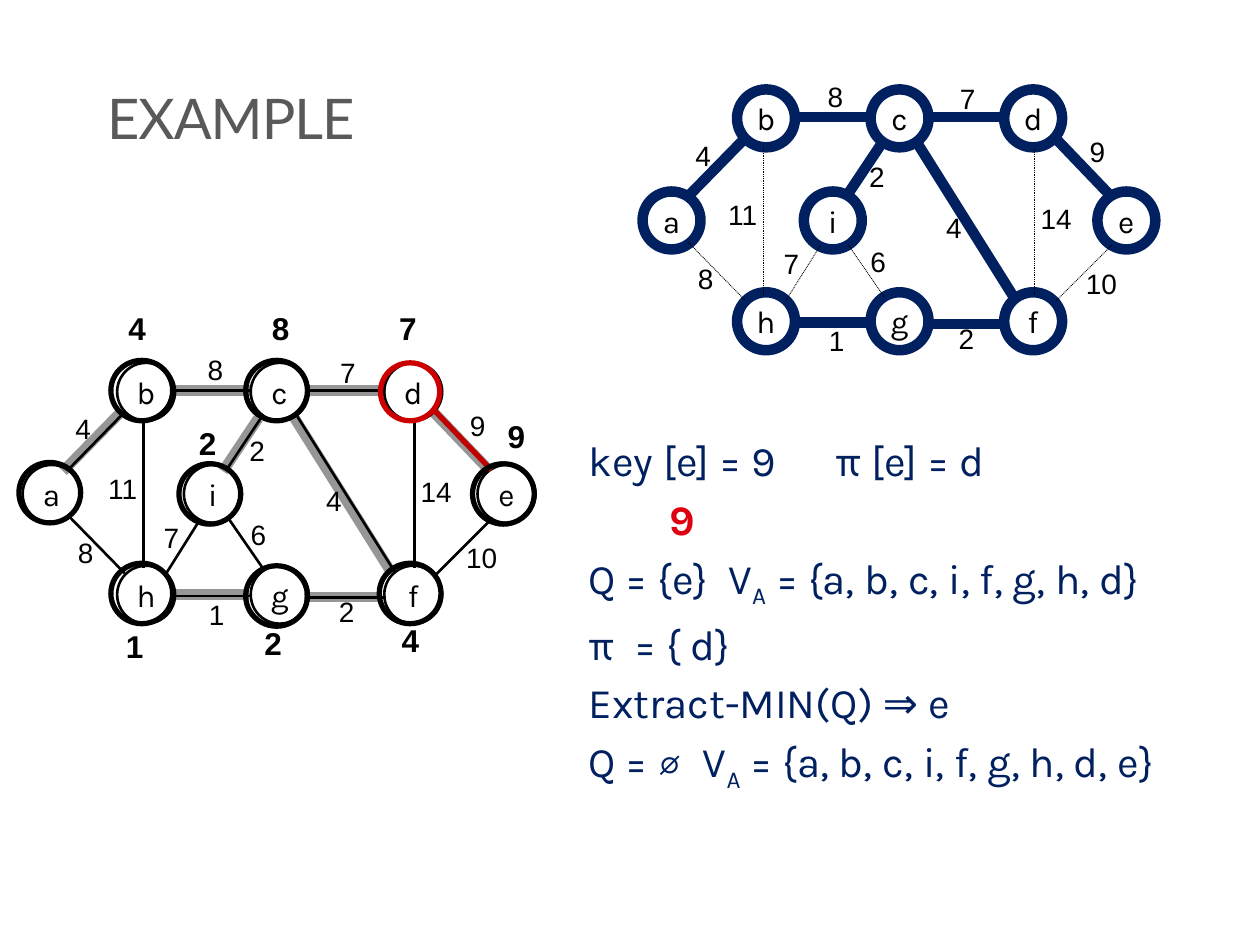
import dataclasses

import pptx
import pptx.dml.color
import pptx.enum.dml
import pptx.enum.shapes
import pptx.enum.text
import pptx.oxml
import pptx.util

Inches = pptx.util.Inches
Pt = pptx.util.Pt
Align = pptx.enum.text.PP_ALIGN
Anchor = pptx.enum.text.MSO_ANCHOR
Dash = pptx.enum.dml.MSO_LINE


@dataclasses.dataclass
class Theme:
    ink: str = "000000"
    navy: str = "002060"
    gray: str = "969696"
    title: str = "595959"
    ring: str = "CC0000"
    edge: str = "C00000"
    alert: str = "DD0111"
    white: str = "FFFFFF"
    head_font: str = "Lato"
    body_font: str = "Karla"
    label_font: str = "Arial"
    head_size: int = 32
    body_size: int = 24
    node_size: int = 18
    cost_size: int = 16


SIZE = 0.46  # node diameter
SHIFT = (4.92, -2.17)  # from the working graph to the finished tree

# node: left, top
NODES = {
    "a": (0.18, 3.69), "b": (0.93, 2.88), "c": (1.99, 2.88),
    "d": (3.05, 2.88), "e": (3.79, 3.69), "h": (0.93, 4.49),
    "g": (1.99, 4.49), "f": (3.05, 4.49), "i": (1.46, 3.69),
}
# node: left, top of its thick ring
RINGS = {
    "b": (0.88, 2.86), "a": (0.15, 3.67), "c": (1.95, 2.86),
    "i": (1.42, 3.68), "f": (3.01, 4.47), "g": (1.95, 4.49),
    "h": (0.88, 4.47), "e": (3.75, 3.68),
}
# edge: start, end, cost, place of the cost, shift of the halo (tree edges only)
EDGES = {
    "bh": ((1.14, 3.34), (1.14, 4.51), "11", (0.76, 3.69), None),
    "df": ((3.29, 3.35), (3.29, 4.51), "14", (3.24, 3.72), None),
    "bc": ((1.38, 3.1), (1.99, 3.1), "8", (1.55, 2.75), (0.01, 0)),
    "cd": ((2.44, 3.1), (3.05, 3.1), "7", (2.6, 2.77), (0.01, 0)),
    "hg": ((1.38, 4.73), (1.99, 4.73), "1", (1.56, 4.69), (-0.01, -0.01)),
    "gf": ((2.46, 4.74), (3.06, 4.74), "2", (2.59, 4.67), (-0.05, 0)),
    "ab": ((0.54, 3.73), (0.99, 3.27), "4", (0.5, 3.22), (-0.04, 0.01)),
    "fe": ((3.46, 4.56), (3.91, 4.11), "10", (3.6, 4.24), None),
    "de": ((3.45, 3.26), (3.9, 3.73), "9", (3.63, 3.19), (-0.01, 0.01)),
    "ah": ((0.54, 4.09), (0.99, 4.55), "8", (0.52, 4.2), None),
    "cf": ((2.35, 3.29), (3.14, 4.55), "4", (2.49, 3.79), (-0.03, 0)),
    "ig": ((1.81, 4.11), (2.1, 4.53), "6", (1.89, 4.06), None),
    "hi": ((1.32, 4.55), (1.59, 4.12), "7", (1.2, 4.08), None),
    "ic": ((1.81, 3.71), (2.09, 3.29), "2", (1.88, 3.39), (-0.04, 0.03)),
}
# key value, its place, whether it has a white ground
KEYS = [
    ("4", (0.92, 2.4), False), ("7", (3.07, 2.4), False),
    ("1", (0.9, 4.93), False), ("2", (2, 4.9), False),
    ("4", (3.09, 4.88), False), ("8", (2.06, 2.4), True),
    ("2", (1.48, 3.32), False), ("9", (3.93, 3.26), True),
]
# every second part of a line is a subscript
STEPS = [
    ["key [e] = 9\t π [e] = d"],
    ["9"],
    ["Q = {e}  V", "A", " = {a, b, c, i, f, g, h, d}"],
    ["π  = { d}"],
    ["Extract-MIN(Q) ⇒ e"],
    ["Q = ∅  V", "A", " = {a, b, c, i, f, g, h, d, e}"],
]
KEY_STEP = 1


def rgb(color):
    return pptx.dml.color.RGBColor.from_string(color)


def move(spot, by):
    return spot[0] + by[0], spot[1] + by[1]


class Painter:
    def __init__(self, slide, theme):
        self.slide, self.theme = slide, theme

    def style(self, para, font, size, color, bold=False):
        for run in para.runs:
            run.font.name, run.font.size = font, Pt(size)
            run.font.color.rgb, run.font.bold = rgb(color), bold

    def place(self, shape, left, top, width, height):
        shape.left, shape.top = Inches(left), Inches(top)
        shape.width, shape.height = Inches(width), Inches(height)

    def title(self, text):
        shape, theme = self.slide.shapes.title, self.theme
        self.place(shape, 0.75, 0.33, 8.33, 0.92)
        frame = shape.text_frame
        frame.text = text
        frame.vertical_anchor = Anchor.BOTTOM
        para = frame.paragraphs[0]
        para.alignment = Align.LEFT
        self.style(para, theme.head_font, theme.head_size, theme.title)
        para.runs[0]._r.get_or_add_rPr().set("spc", "-60")

    def steps(self, lines):
        shape, theme = self.slide.placeholders[1], self.theme
        self.place(shape, 4.57, 3.4, 5.22, 2.68)
        frame = shape.text_frame
        frame.auto_size = pptx.enum.text.MSO_AUTO_SIZE.NONE
        for row, parts in enumerate(lines):
            para = frame.add_paragraph() if row else frame.paragraphs[0]
            key = row == KEY_STEP
            props = para._p.get_or_add_pPr()
            props.set("marL", str(Inches(0.64 if key else 0.38)))
            props.set("indent", str(Inches(0 if key else -0.38)))
            pptx.oxml.xmlchemy.OxmlElement("a:buNone")
            props.append(pptx.oxml.xmlchemy.OxmlElement("a:buNone"))
            para.space_before = Pt(4.8 if row else 0)
            for part in parts:
                para.add_run().text = part
            color = theme.alert if key else theme.navy
            self.style(para, theme.body_font, theme.body_size, color, key)
            for run in para.runs[1::2]:
                run._r.get_or_add_rPr().set("baseline", "-25000")

    def circle(self, spot, width, height, color, weight, text=""):
        shape = self.slide.shapes.add_shape(
            pptx.enum.shapes.MSO_SHAPE.OVAL, *map(Inches, (*spot, width, height)))
        shape.shadow.inherit = False
        shape.fill.background()
        shape.line.color.rgb, shape.line.width = rgb(color), Pt(weight)
        if text:
            frame, theme = shape.text_frame, self.theme
            frame.text, frame.word_wrap = text, False
            frame.vertical_anchor = Anchor.MIDDLE
            frame.paragraphs[0].alignment = Align.CENTER
            self.style(frame.paragraphs[0], theme.body_font, theme.node_size, theme.ink)

    def line(self, start, end, color, weight, dash=None):
        shape = self.slide.shapes.add_connector(
            pptx.enum.shapes.MSO_CONNECTOR.STRAIGHT, *map(Inches, (*start, *end)))
        shape.line.color.rgb, shape.line.width = rgb(color), Pt(weight)
        if dash:
            shape.line.dash_style = dash
        shape._element.spPr.append(pptx.oxml.xmlchemy.OxmlElement("a:effectLst"))

    def label(self, text, spot, width, height, size, bold=False, ground=False):
        box = self.slide.shapes.add_textbox(*map(Inches, (*spot, width, height)))
        if ground:
            box.fill.solid()
            box.fill.fore_color.rgb = rgb(self.theme.white)
        frame = box.text_frame
        frame.text, frame.word_wrap = text, False
        self.style(frame.paragraphs[0], self.theme.label_font, size, self.theme.ink, bold)

    def graph(self, shift, done):
        """Draw nodes, edges and costs; done marks the finished tree."""
        theme = self.theme
        for name, spot in NODES.items():
            self.circle(move(spot, shift), SIZE, SIZE,
                        theme.navy if done else theme.ink, 6 if done else 1.5, name)
        for name, (start, end, cost, spot, halo) in EDGES.items():
            if done:
                look = (theme.navy, 6) if halo else (theme.ink, 0.5, Dash.ROUND_DOT)
            else:
                look = (theme.edge, 3) if name == "de" else (theme.ink, 1.5)
            self.line(move(start, shift), move(end, shift), *look)
        for start, end, cost, spot, halo in EDGES.values():
            width = 0.32 if len(cost) == 1 else 0.45
            self.label(cost, move(spot, shift), width, 0.37, theme.cost_size)

    def halos(self):
        for start, end, cost, spot, halo in EDGES.values():
            if halo:
                self.line(move(start, halo), move(end, halo), self.theme.gray, 6)

    def rings(self):
        for spot in RINGS.values():
            self.circle(spot, 0.49, 0.48, self.theme.ink, 3)
        self.circle((3.02, 2.88), 0.47, 0.46, self.theme.ring, 3)

    def keys(self):
        for text, spot, ground in KEYS:
            self.label(text, spot, 0.34, 0.4, self.theme.node_size, True, ground)


def main():
    deck = pptx.Presentation()
    deck.slide_width, deck.slide_height = Inches(10), Inches(7.5)
    slide = deck.slides.add_slide(deck.slide_layouts[1])
    paint = Painter(slide, Theme())
    paint.title("EXAMPLE")
    paint.steps(STEPS)
    paint.halos()
    paint.graph((0, 0), done=False)
    paint.rings()
    paint.keys()
    paint.graph(SHIFT, done=True)
    deck.save("out.pptx")


if __name__ == "__main__":
    main()
